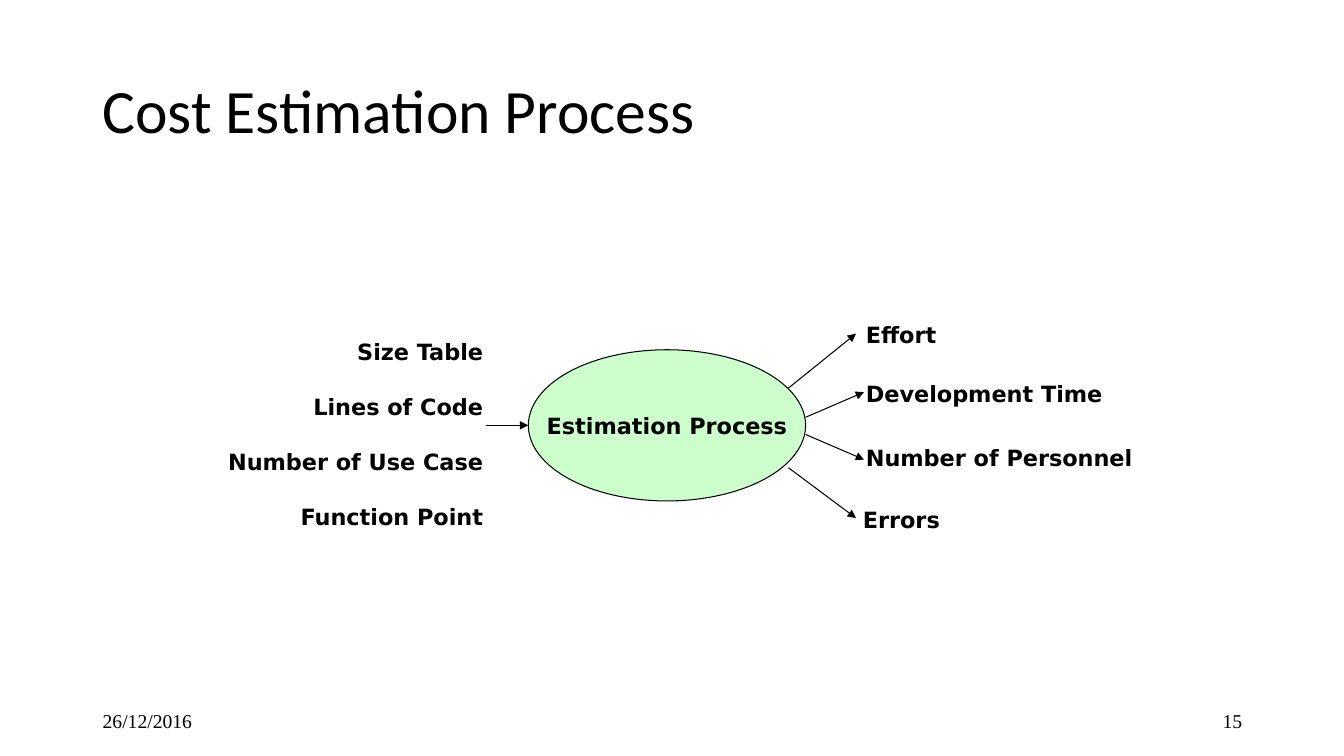
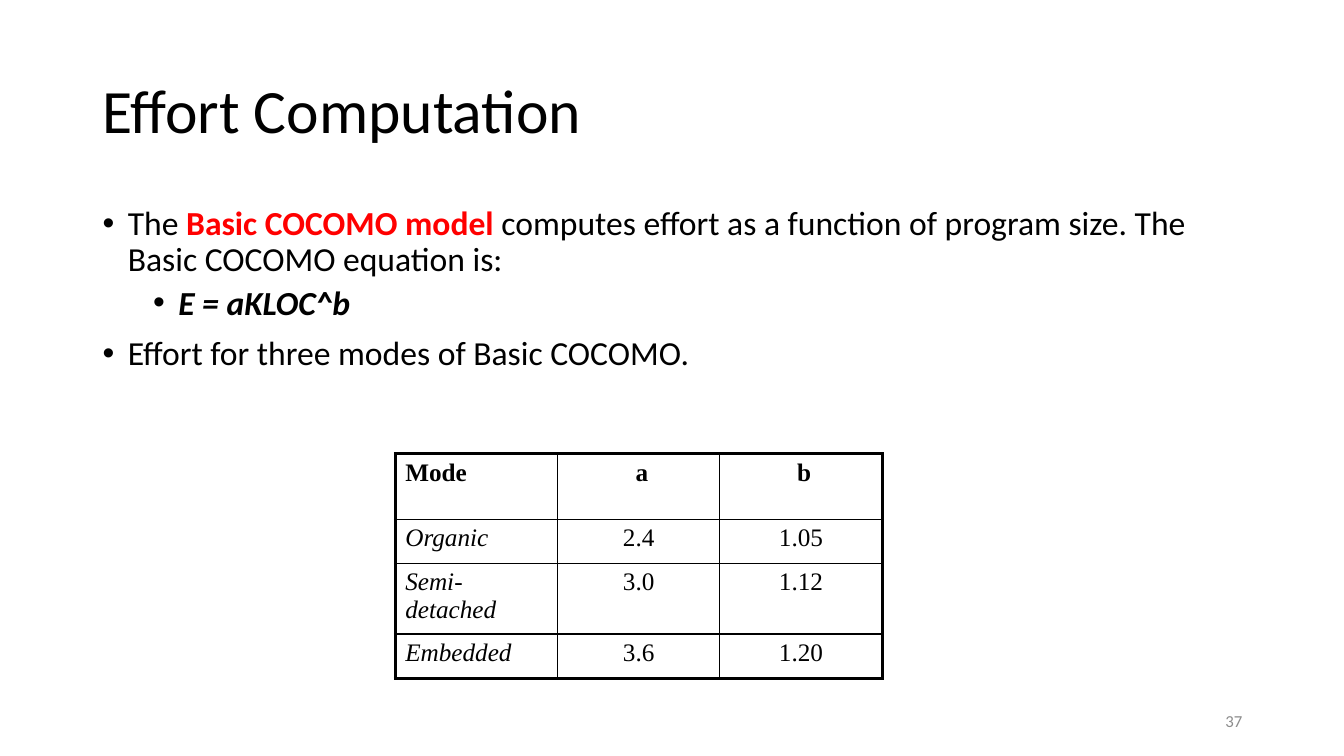
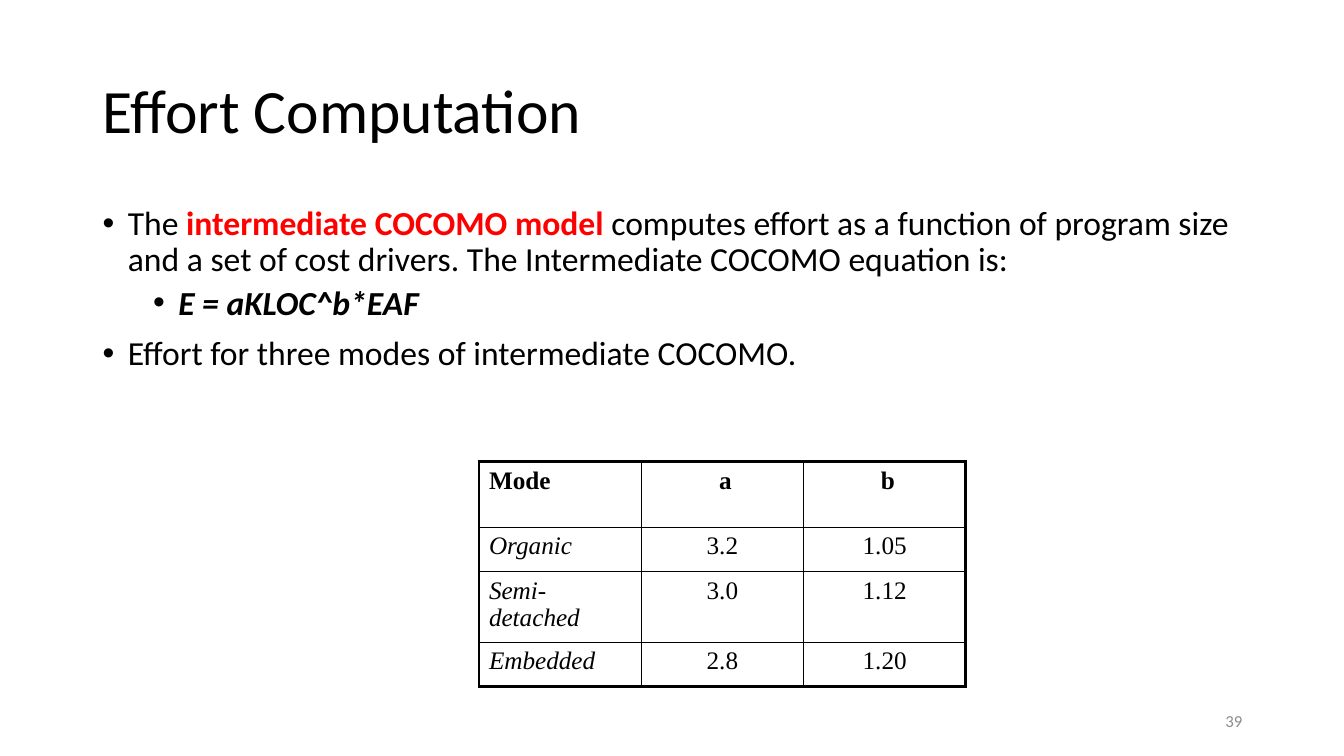
"""Build three slides on software cost estimation and COCOMO effort."""
from lxml.etree import SubElement
from pptx import Presentation
from pptx.dml.color import RGBColor
from pptx.enum.shapes import MSO_CONNECTOR as CONN, MSO_SHAPE as SHAPE
from pptx.enum.text import MSO_ANCHOR as ANCHOR, PP_ALIGN as ALIGN
from pptx.oxml.ns import qn
from pptx.util import Inches, Pt

BLACK, RED, GREY, GREEN = "000000", "FF0000", "8C8C8C", "CCFFCC"
TITLE = dict(name="Calibri", size=Pt(44))
BODY = dict(name="Calibri", size=Pt(24))
LABEL = dict(name="DejaVu Sans", size=Pt(16), bold=True)
CELL = dict(name="Times New Roman", size=Pt(18))
DATE = dict(name="Times New Roman", size=Pt(14))
NUMBER = dict(name="Calibri", size=Pt(12))
rgb = RGBColor.from_string


def write(p, text, fmt, color=BLACK, align=None):
    p.alignment = align
    r = p.add_run()
    r.text = text
    for key, value in fmt.items():
        setattr(r.font, key, value)
    r.font.color.rgb = rgb(color)


def add_box(s, x, y, w, h, anchor=ANCHOR.TOP):
    tf = s.shapes.add_textbox(Inches(x), Inches(y), Inches(w), Inches(h)).text_frame
    tf.word_wrap = True
    tf.vertical_anchor = anchor
    return tf


prs = Presentation()
prs.slide_width, prs.slide_height = Inches(13.33), Inches(7.5)
slides = []
for title, number, fmt, color in [
    ("Cost Estimation Process", "15", DATE, BLACK),
    ("Effort Computation", "37", NUMBER, GREY),
    ("Effort Computation", "39", NUMBER, GREY),
]:
    s = prs.slides.add_slide(prs.slide_layouts[6])
    p = add_box(s, 0.92, 0.4, 11.5, 1.45, ANCHOR.MIDDLE).paragraphs[0]
    p.line_spacing = 0.9
    write(p, title, TITLE)
    p = add_box(s, 9.42, 6.95, 3, 0.4, ANCHOR.MIDDLE).paragraphs[0]
    write(p, number, fmt, color, ALIGN.RIGHT)
    slides.append(s)

s = slides[0]
write(add_box(s, 0.92, 6.95, 3, 0.4, ANCHOR.MIDDLE).paragraphs[0], "26/12/2016", DATE)

tf = add_box(s, 2.14, 3.31, 2.75, 1.92)
for i, text in enumerate(["Size Table", "Lines of Code", "Number of Use Case", "Function Point"]):
    p = tf.add_paragraph() if i else tf.paragraphs[0]
    p.space_before = Pt(20 if i else 0)
    write(p, text, LABEL, align=ALIGN.RIGHT)

for text, x, y in [
    ("Effort", 8.49, 3.14),
    ("Development Time", 8.49, 3.72),
    ("Number of Personnel", 8.49, 4.36),
    ("Errors", 8.46, 4.97),
]:
    write(add_box(s, x, y, 3, 0.38).paragraphs[0], text, LABEL)

sp = s.shapes.add_shape(SHAPE.OVAL, Inches(5.24), Inches(3.47), Inches(2.75), Inches(1.5))
sp.shadow.inherit = False
sp.fill.solid()
sp.fill.fore_color.rgb = rgb(GREEN)
sp.line.color.rgb = rgb(BLACK)
sp.line.width = Pt(0.75)
sp.text_frame.word_wrap = False
write(sp.text_frame.paragraphs[0], "Estimation Process", LABEL, align=ALIGN.CENTER)

for ends in [
    (4.82, 4.22, 5.24, 4.22),
    (7.82, 3.85, 8.49, 3.31),
    (7.99, 4.14, 8.57, 3.89),
    (7.99, 4.31, 8.57, 4.56),
    (7.82, 4.64, 8.49, 5.14),
]:
    arrow = s.shapes.add_connector(CONN.STRAIGHT, *map(Inches, ends))
    arrow.line.color.rgb = rgb(BLACK)
    arrow.line.width = Pt(0.75)
    spPr = arrow._element.spPr
    SubElement(spPr.find(qn("a:ln")), qn("a:tailEnd"), type="triangle")
    SubElement(spPr, qn("a:effectLst"))

for s, model, purpose, equation, modes, left, top, factors in [
    (slides[1], "Basic COCOMO model",
     " computes effort as a function of program size. The Basic COCOMO equation is:",
     "E = aKLOC^b", "Effort for three modes of Basic COCOMO.",
     3.92, 4.5, ["2.4", "3.0", "3.6"]),
    (slides[2], "intermediate COCOMO model",
     " computes effort as a function of program size and a set of cost drivers. "
     "The Intermediate COCOMO equation is:",
     "E = aKLOC^b*EAF", "Effort for three modes of intermediate COCOMO.",
     4.75, 4.58, ["3.2", "3.0", "2.8"]),
]:
    tf = add_box(s, 0.92, 2, 11.5, 2.4)
    bullets = [
        (0, 0, [("The ", {}, BLACK), (model, dict(bold=True), RED), (purpose, {}, BLACK)]),
        (1, 5, [(equation, dict(bold=True, italic=True), BLACK)]),
        (0, 10, [(modes, {}, BLACK)]),
    ]
    for i, (level, before, runs) in enumerate(bullets):
        p = tf.add_paragraph() if i else tf.paragraphs[0]
        pPr = p._p.get_or_add_pPr()
        pPr.set("marL", str(Inches(0.25 + 0.5 * level)))
        pPr.set("indent", str(Inches(-0.25)))
        SubElement(pPr, qn("a:buFont"), typeface="Arial")
        SubElement(pPr, qn("a:buChar"), char="•")
        p.level = level
        p.line_spacing = 0.9
        p.space_before = Pt(before)
        for text, fmt, color in runs:
            write(p, text, BODY | fmt, color)

    names, powers = ["Organic", "Semi-detached", "Embedded"], ["1.05", "1.12", "1.20"]
    rows = [("Mode", " a", " b"), *zip(names, factors, powers)]
    heights = [0.65, 0.44, 0.65, 0.44]
    table = s.shapes.add_table(4, 3, Inches(left), Inches(top), Inches(4.83),
                               Inches(sum(heights))).table
    table.first_row = table.horz_banding = False
    for col in table.columns:
        col.width = Inches(1.61)
    for i, (row, height) in enumerate(zip(rows, heights)):
        table.rows[i].height = Inches(height)
        for j, text in enumerate(row):
            cell = table.cell(i, j)
            tcPr = cell._tc.get_or_add_tcPr()
            for side, outer in dict(L=j == 0, R=j == 2, T=i == 0, B=i == 3).items():
                ln = SubElement(tcPr, qn("a:ln" + side), w=str(Pt(2.25 if outer else 1)))
                SubElement(SubElement(ln, qn("a:solidFill")), qn("a:srgbClr"), val=BLACK)
            cell.fill.background()
            fmt = dict(bold=i == 0, italic=i > 0 and j == 0)
            write(cell.text_frame.paragraphs[0], text, CELL | fmt,
                  align=ALIGN.CENTER if j else ALIGN.LEFT)

prs.save("out.pptx")
